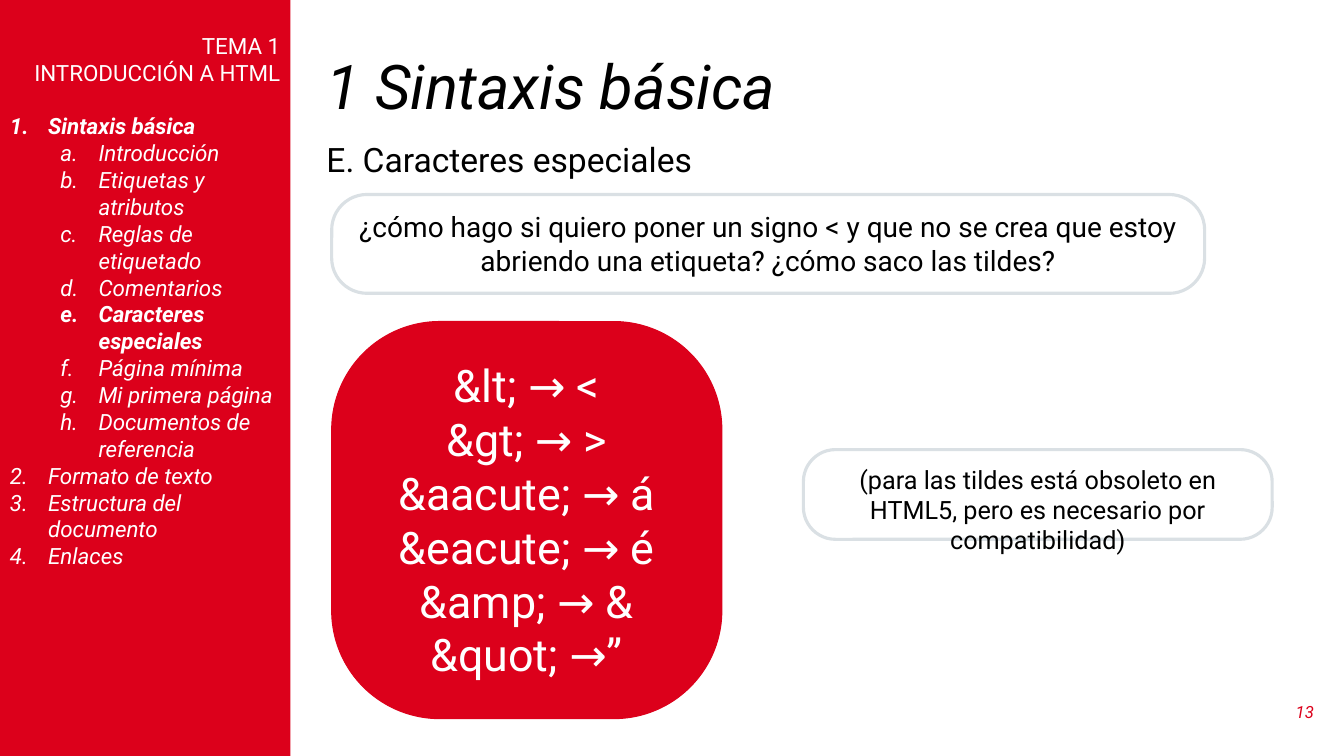
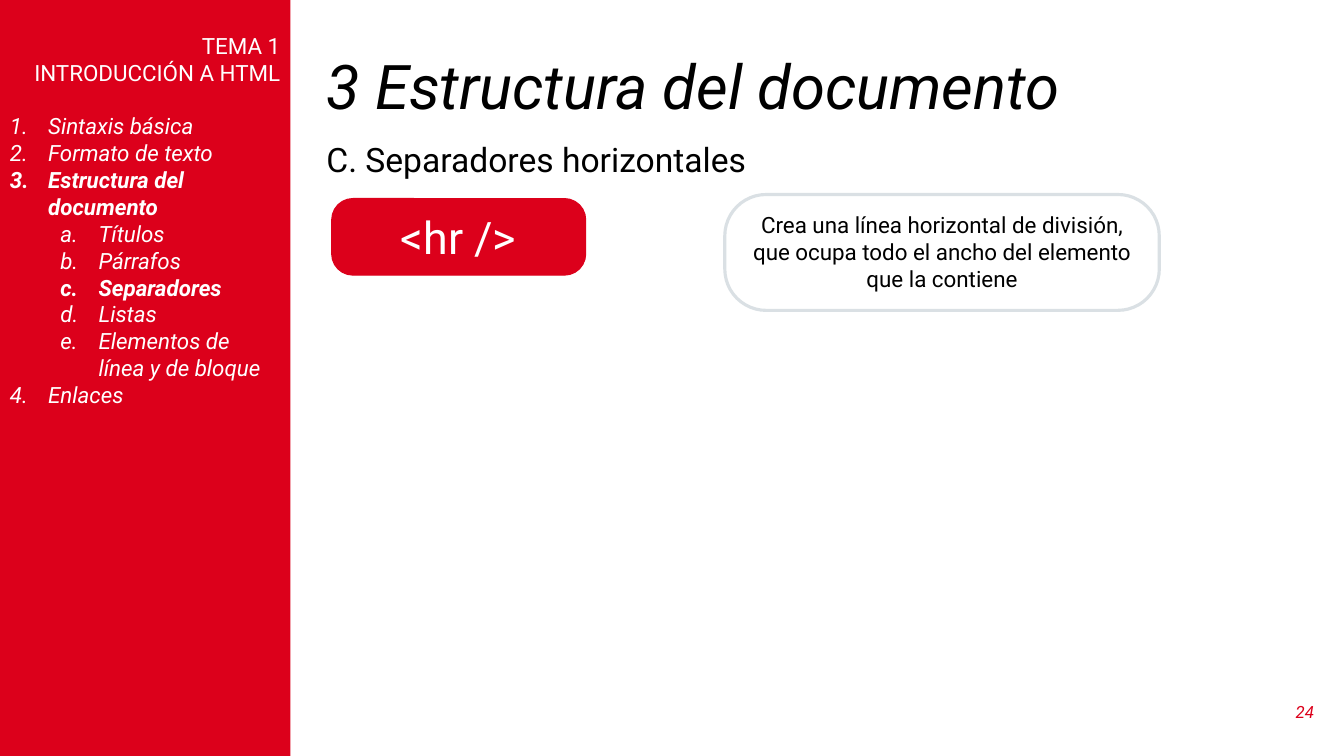
from dataclasses import dataclass

from lxml.etree import SubElement
from pptx import Presentation
from pptx.dml.color import RGBColor
from pptx.enum.shapes import MSO_SHAPE
from pptx.enum.text import MSO_ANCHOR, PP_ALIGN
from pptx.oxml.ns import qn
from pptx.util import Inches, Pt

FONT = "Roboto"
RED = RGBColor(0xDC, 0x00, 0x1B)
GREY = RGBColor(0xDA, 0xE0, 0xE4)
BLACK = RGBColor(0x00, 0x00, 0x00)
WHITE = RGBColor(0xFF, 0xFF, 0xFF)

SLIDE_WIDTH = Inches(13.33)
SLIDE_HEIGHT = Inches(7.5)
LIST_HANGING = Inches(0.38)
LIST_STEP = Inches(0.5)
LIST_NUMBERING = ("arabicPeriod", "alphaLcPeriod")
SIDEBAR_TOP_INSET = Inches(0.32)
SIDEBAR_LIST_GAP = Pt(19)


@dataclass(frozen=True)
class Area:
    """A rectangle in percent of the slide's width and height."""
    left: float
    top: float
    width: float
    height: float

    def lengths(self) -> tuple[int, ...]:
        return (int(SLIDE_WIDTH * self.left / 100), int(SLIDE_HEIGHT * self.top / 100),
                int(SLIDE_WIDTH * self.width / 100), int(SLIDE_HEIGHT * self.height / 100))


@dataclass(frozen=True)
class BubbleStyle:
    fill: RGBColor | None
    outline: RGBColor
    outline_width: float
    text_color: RGBColor
    rounding: float


@dataclass(frozen=True)
class Bubble:
    area: Area
    style: BubbleStyle
    size: int
    lines: tuple[str, ...]


@dataclass(frozen=True)
class Lesson:
    number: int
    chapter: int
    sections: tuple[str, ...]
    current_section: str
    subtitle: str
    bubbles: tuple[Bubble, ...]


SIDEBAR = Area(0, 0, 21.6, 100)
TITLE = Area(23.55, 6.67, 74.95, 10.4)
SUBTITLE = Area(23.55, 17.73, 55.95, 6.67)
PAGE_NUMBER = Area(94.65, 91.47, 3.85, 5.33)
BODY_LEFT = 24.68
BODY_TOP = 25.73

CODE = BubbleStyle(RED, RED, 0.75, WHITE, 0.277)
NOTE = BubbleStyle(None, GREY, 2.25, BLACK, 0.357)

COURSE = ("TEMA 1", "INTRODUCCIÓN A HTML")
CHAPTERS = ("Sintaxis básica", "Formato de texto", "Estructura del documento", "Enlaces")

LESSONS = (
    Lesson(
        13, 1,
        ("Introducción", "Etiquetas y atributos", "Reglas de etiquetado", "Comentarios",
         "Caracteres especiales", "Página mínima", "Mi primera página",
         "Documentos de referencia"),
        "Caracteres especiales",
        "E. Caracteres especiales",
        (
            Bubble(Area(BODY_LEFT, BODY_TOP, 64.95, 13.07), NOTE, 20,
                   ("¿cómo hago si quiero poner un signo < y que no se crea que estoy "
                    "abriendo una etiqueta? ¿cómo saco las tildes?",)),
            Bubble(Area(BODY_LEFT, 42.53, 29.03, 52.53), CODE, 32,
                   ("&lt; → <", "&gt; → >", "&aacute; → á", "&eacute; → é",
                    "&amp; → &", "&quot; →”")),
            Bubble(Area(59.78, 59.47, 34.88, 11.87), NOTE, 18,
                   ("(para las tildes está obsoleto en HTML5, pero es necesario por "
                    "compatibilidad)",)),
        ),
    ),
    Lesson(
        24, 3,
        ("Títulos", "Párrafos", "Separadores", "Listas", "Elementos de línea y de bloque"),
        "Separadores",
        "C. Separadores horizontales",
        (
            Bubble(Area(BODY_LEFT, 26.27, 18.9, 10.13), CODE, 32, ("<hr />",)),
            Bubble(Area(53.93, BODY_TOP, 32.33, 15.33), NOTE, 16,
                   ("Crea una línea horizontal de división, que ocupa todo el ancho del "
                    "elemento que la contiene",)),
        ),
    ),
)


def write(para, text: str, color: RGBColor, alignment=PP_ALIGN.LEFT, **font_values) -> None:
    para.alignment = alignment
    span = para.add_run()
    span.text = text
    span.font.color.rgb = color
    for name, value in ({"name": FONT} | font_values).items():
        setattr(span.font, name, value)


def next_paragraph(frame):
    """Return the still empty first paragraph, or a new one."""
    first = frame.paragraphs[0]
    return frame.add_paragraph() if first.runs else first


def add_text(page, area: Area, text: str, color: RGBColor, anchor=MSO_ANCHOR.TOP,
             alignment=PP_ALIGN.LEFT, **font_values):
    frame = page.shapes.add_textbox(*area.lengths()).text_frame
    frame.word_wrap = True
    frame.vertical_anchor = anchor
    para = frame.paragraphs[0]
    write(para, text, color, alignment, **font_values)
    return para


def add_panel(page, preset, area: Area, fill: RGBColor | None):
    """Add a flat shape without outline whose text starts at the top."""
    panel = page.shapes.add_shape(preset, *area.lengths())
    panel.shadow.inherit = False
    panel.line.fill.background()
    if fill is None:
        panel.fill.background()
    else:
        panel.fill.solid()
        panel.fill.fore_color.rgb = fill
    panel.text_frame.word_wrap = True
    panel.text_frame.vertical_anchor = MSO_ANCHOR.TOP
    return panel


def add_list_item(frame, text: str, level: int, bold: bool):
    para = next_paragraph(frame)
    para.level = level
    write(para, text, WHITE, size=Pt(16), italic=True, bold=bold)
    properties = para._p.get_or_add_pPr()
    properties.set("marL", str(LIST_HANGING + level * LIST_STEP))
    properties.set("indent", str(-LIST_HANGING))
    para.space_before = Pt(0)
    SubElement(properties, qn("a:buFont"), typeface="+mj-lt")
    SubElement(properties, qn("a:buAutoNum"), type=LIST_NUMBERING[level])
    return para


def add_sidebar(page, lesson: Lesson) -> None:
    frame = add_panel(page, MSO_SHAPE.RECTANGLE, SIDEBAR, RED).text_frame
    frame.margin_top = SIDEBAR_TOP_INSET
    for line in COURSE:
        write(next_paragraph(frame), line, WHITE, PP_ALIGN.RIGHT, size=Pt(16))
    for number, chapter in enumerate(CHAPTERS, start=1):
        is_open = number == lesson.chapter
        para = add_list_item(frame, chapter, 0, is_open)
        if number == 1:
            para.space_before = SIDEBAR_LIST_GAP
        for section in lesson.sections if is_open else ():
            add_list_item(frame, section, 1, section == lesson.current_section)


def add_bubble(page, bubble: Bubble) -> None:
    style = bubble.style
    panel = add_panel(page, MSO_SHAPE.ROUNDED_RECTANGLE, bubble.area, style.fill)
    panel.adjustments[0] = style.rounding
    panel.line.color.rgb = style.outline
    panel.line.width = Pt(style.outline_width)
    for line in bubble.lines:
        write(next_paragraph(panel.text_frame), line, style.text_color,
              PP_ALIGN.CENTER, size=Pt(bubble.size))


def add_lesson(deck, lesson: Lesson) -> None:
    page = deck.slides.add_slide(deck.slide_layouts[6])
    title = f"{lesson.chapter} {CHAPTERS[lesson.chapter - 1]}"
    title_para = add_text(page, TITLE, title, BLACK, MSO_ANCHOR.MIDDLE,
                          size=Pt(44), italic=True)
    title_para.line_spacing = 0.9
    add_sidebar(page, lesson)
    add_text(page, PAGE_NUMBER, str(lesson.number), RED, MSO_ANCHOR.MIDDLE,
             PP_ALIGN.RIGHT, size=Pt(12), italic=True)
    add_text(page, SUBTITLE, lesson.subtitle, BLACK, size=Pt(24))
    for bubble in lesson.bubbles:
        add_bubble(page, bubble)


def main() -> None:
    deck = Presentation()
    deck.slide_width = SLIDE_WIDTH
    deck.slide_height = SLIDE_HEIGHT
    for lesson in LESSONS:
        add_lesson(deck, lesson)
    deck.save("out.pptx")


if __name__ == "__main__":
    main()
